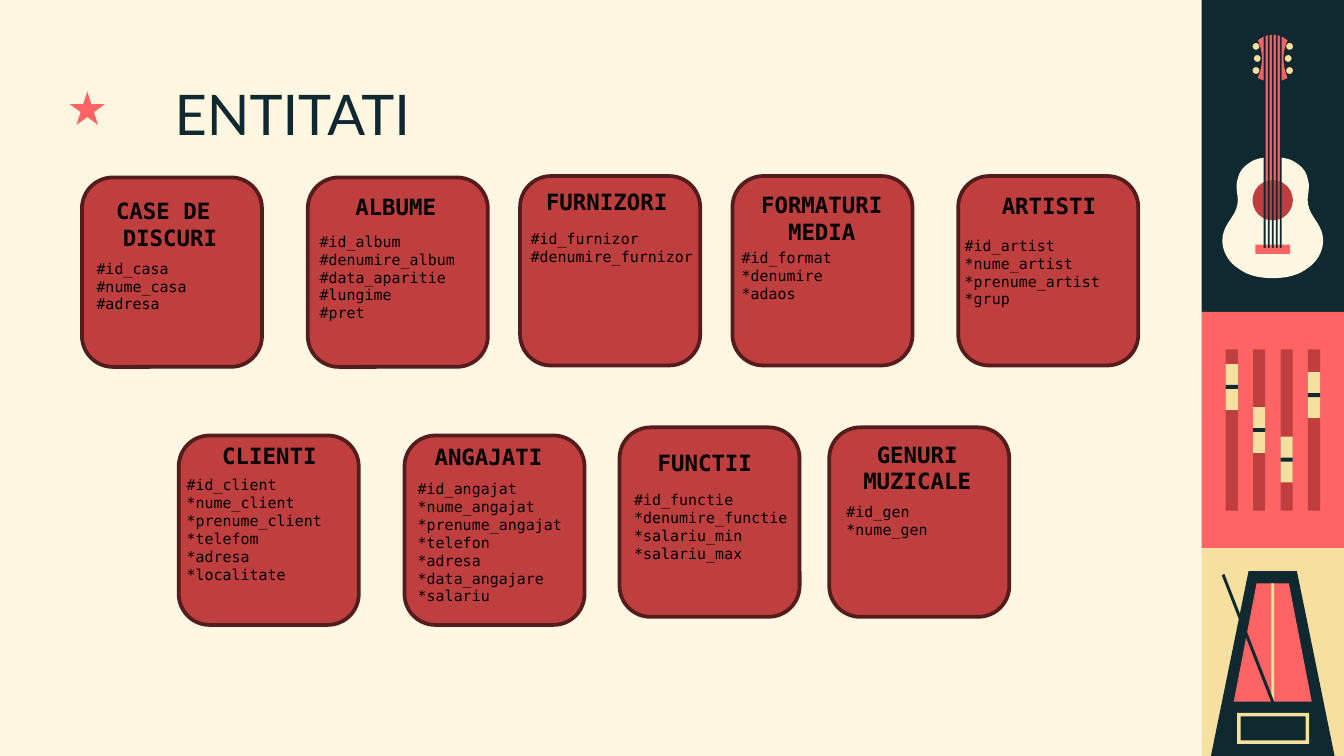
from dataclasses import dataclass

import pptx
import pptx.dml.color
import pptx.enum.shapes
import pptx.enum.text
import pptx.util

SHAPE = pptx.enum.shapes.MSO_SHAPE
ALIGN = pptx.enum.text.PP_ALIGN
CELL = pptx.util.Inches(0.1)  # square grid: 100 columns, 56.25 rows
COLUMNS, ROWS = 100, 56.25
Point = tuple[float, float]
Box = tuple[float, float, float, float]  # column, row, columns, rows


@dataclass(frozen=True)
class Theme:
    cream: str = "FFF7E2"
    navy: str = "102830"
    coral: str = "FF6464"
    brick: str = "BF3F3F"
    sand: str = "F6E09F"
    maroon: str = "541C1C"
    black: str = "000000"
    title_font: str = "Lato"
    mono_font: str = "DejaVu Sans Mono"
    title_size: float = 30
    heading_size: float = 12
    field_size: float = 8
    card_line: float = 2


@dataclass(frozen=True)
class Entity:
    heading: str
    fields: str
    card: Point
    heading_at: Point
    fields_at: Point


THEME = Theme()
CARD_WIDTH, CARD_HEIGHT, CARD_ROUNDING = 13.4, 14.1, 0.172
HEADING_WIDTH, FIELDS_WIDTH = 24.3, 16
LINE_HEIGHT = 1.17 / 7.2  # rows for each point of type

ENTITIES = [
    Entity("CASE DE \nDISCURI", "#id_casa\n#nume_casa\n#adresa",
           (6.1, 13.2), (0.5, 14.2), (6.2, 18.8)),
    Entity("ALBUME", "#id_album\n#denumire_album\n#data_aparitie\n#lungime\n#pret",
           (22.9, 13.2), (17.3, 13.9), (22.8, 16.8)),
    Entity("FURNIZORI", "#id_furnizor\n#denumire_furnizor",
           (38.7, 13.1), (33, 13.5), (38.5, 16.6)),
    Entity("FORMATURI\nMEDIA", "#id_format\n*denumire\n*adaos",
           (54.5, 13.1), (49, 13.7), (54.2, 18)),
    Entity("ARTISTI", "#id_artist\n*nume_artist\n*prenume_artist\n*grup",
           (71.3, 13.1), (65.9, 13.8), (70.8, 17.1)),
    Entity("CLIENTI", "#id_client\n*nume_client\n*prenume_client\n*telefom\n*adresa\n*localitate",
           (13.3, 32.4), (7.9, 32.4), (12.9, 34.9)),
    Entity("ANGAJATI", "#id_angajat\n*nume_angajat\n*prenume_angajat\n*telefon\n"
           "*adresa\n*data_angajare\n*salariu",
           (30.1, 32.4), (24.2, 32.5), (30.1, 35.2)),
    Entity("FUNCTII", "#id_functie\n*denumire_functie\n*salariu_min\n*salariu_max",
           (46.1, 31.8), (40.3, 32.9), (46.2, 36)),
    Entity("GENURI\nMUZICALE", "#id_gen\n*nume_gen",
           (61.7, 31.8), (56.1, 32.3), (62, 36.9)),
]


def cells(count: float) -> pptx.util.Emu:
    return pptx.util.Emu(round(count * CELL))


def rgb(color: str) -> pptx.dml.color.RGBColor:
    return pptx.dml.color.RGBColor.from_string(color)


def paint(shape, fill: str, line: str | None = None):
    shape.shadow.inherit = False
    shape.fill.solid()
    shape.fill.fore_color.rgb = rgb(fill)
    if line:
        shape.line.color.rgb = rgb(line)
        shape.line.width = pptx.util.Pt(THEME.card_line)
    else:
        shape.line.fill.background()
    return shape


def add_preset(slide, kind, box: Box, fill: str, line: str | None = None):
    return paint(slide.shapes.add_shape(kind, *map(cells, box)), fill, line)


def add_rect(slide, box: Box, fill: str):
    return add_preset(slide, SHAPE.RECTANGLE, box, fill)


def add_outline(slide, contours: list[list[Point]], fill: str):
    """Draw one filled freeform; a second contour cuts a hole."""
    builder = None
    for contour in contours:
        start, *rest = [(cells(x), cells(y)) for x, y in contour]
        if builder is None:
            builder = slide.shapes.build_freeform(*start)
        else:
            builder.move_to(*start)
        builder.add_line_segments(rest, close=True)
    return paint(builder.convert_to_shape(), fill)


def curve(start: Point, *segments: tuple[Point, Point, Point], steps: int = 10) -> list[Point]:
    """Sample a chain of cubic Bezier segments."""
    points = [start]
    for a, b, end in segments:
        p = points[-1]
        for step in range(1, steps + 1):
            t = step / steps
            u = 1 - t
            points.append(tuple(u**3 * p[i] + 3 * u * u * t * a[i] + 3 * u * t * t * b[i]
                                + t**3 * end[i] for i in (0, 1)))
    return points


def mirrored(half: list[Point], axis: float) -> list[Point]:
    return half + [(2 * axis - x, y) for x, y in reversed(half)]


def add_text(slide, at: Point, width: float, text: str, font: str, size: float, color: str,
             bold: bool = False, align=ALIGN.LEFT, inset: float = 0.5):
    lines = text.split("\n")
    height = len(lines) * size * LINE_HEIGHT + 2 * inset
    frame = slide.shapes.add_textbox(*map(cells, (*at, width, height))).text_frame
    frame.word_wrap = True
    frame.vertical_anchor = pptx.enum.text.MSO_ANCHOR.TOP
    frame.margin_top = frame.margin_bottom = cells(inset)
    frame.text = text
    for paragraph in frame.paragraphs:
        paragraph.alignment = align
        for run in paragraph.runs:
            run.font.name, run.font.size, run.font.bold = font, pptx.util.Pt(size), bold
            run.font.color.rgb = rgb(color)


def draw_guitar(slide):
    axis = 94.7
    add_rect(slide, (89.4, 0, 10.6, 23.2), THEME.navy)
    body = curve((axis, 11.7),
                 ((94, 11.7), (93.4, 11.8), (93, 12.1)),
                 ((92.5, 12.4), (92.2, 12.8), (92.1, 13.3)),
                 ((91.9, 13.9), (92.1, 14.4), (92.1, 14.9)),
                 ((92.1, 16.1), (90.95, 16.6), (90.95, 17.9)),
                 ((90.95, 18.7), (91.4, 19.5), (92.1, 19.95)),
                 ((92.8, 20.5), (93.7, 20.7), (axis, 20.7)))
    add_outline(slide, [mirrored(body, axis)], THEME.cream)
    add_rect(slide, (93.4, 18.2, 2.6, 0.7), THEME.coral)
    add_rect(slide, (94.1, 3.1, 1.2, 10.6), THEME.coral)
    head = curve((axis, 2.6),
                 ((94.3, 2.6), (94, 2.7), (93.6, 3)),
                 ((94, 3.9), (94, 4.8), (93.6, 5.8)),
                 ((94, 6), (94.3, 6.1), (axis, 6.1)))
    add_outline(slide, [mirrored(head, axis)], THEME.coral)
    for offset, row in ((1.25, 3.2), (1.15, 4.1), (1.25, 5)):
        for side in (-1, 1):
            add_preset(slide, SHAPE.OVAL, (axis + side * offset - 0.25, row, 0.5, 0.5), THEME.sand)
    add_preset(slide, SHAPE.OVAL, (axis - 1.5, 13.4, 3, 3), THEME.brick)
    for string in range(5):
        add_rect(slide, (94.03 + 0.3 * string, 2.5, 0.14, 15.95), THEME.navy)


def draw_mixer(slide):
    add_rect(slide, (89.4, 23.2, 10.6, 17.6), THEME.coral)
    for track, knob in enumerate((27.1, 30.3, 32.5, 27.7)):
        column = 91.2 + 2.04 * track
        add_rect(slide, (column, 26, 0.9, 12), THEME.brick)
        add_rect(slide, (column, knob, 0.9, 3.4), THEME.sand)
        add_rect(slide, (column, knob + 1.55, 0.9, 0.3), THEME.navy)


def draw_metronome(slide):
    add_rect(slide, (89.4, 40.8, 10.6, ROWS - 40.8), THEME.sand)
    add_outline(slide, [[(92.9, 42.5), (90.1, ROWS), (99.3, ROWS), (96.5, 42.5)]], THEME.navy)
    add_outline(slide, [[(93.5, 43.4), (91.8, 52.2), (97.6, 52.2), (95.9, 43.4)]], THEME.coral)
    add_rect(slide, (94.6, 43.4, 0.2, 8.8), THEME.sand)
    add_outline(slide, [[(91.1, 42.7), (90.9, 42.8), (94.6, 52.3), (94.8, 52.2)]], THEME.navy)
    add_outline(slide, [[(97.15, 53.3), (97.15, 55.1), (92.3, 55.1), (92.3, 53.3)],
                        [(92.05, 53.05), (92.05, 55.35), (97.4, 55.35), (97.4, 53.05)]], THEME.sand)


def draw_entity(slide, entity: Entity):
    card = add_preset(slide, SHAPE.ROUNDED_RECTANGLE, (*entity.card, CARD_WIDTH, CARD_HEIGHT),
                      THEME.brick, THEME.maroon)
    card.adjustments[0] = CARD_ROUNDING
    add_text(slide, entity.heading_at, HEADING_WIDTH, entity.heading, THEME.mono_font,
             THEME.heading_size, THEME.black, bold=True, align=ALIGN.CENTER)
    add_text(slide, entity.fields_at, FIELDS_WIDTH, entity.fields, THEME.mono_font,
             THEME.field_size, THEME.black)


def main():
    deck = pptx.Presentation()
    deck.slide_width, deck.slide_height = cells(COLUMNS), cells(ROWS)
    slide = deck.slides.add_slide(deck.slide_layouts[6])
    slide.background.fill.solid()
    slide.background.fill.fore_color.rgb = rgb(THEME.cream)
    draw_guitar(slide)
    draw_mixer(slide)
    draw_metronome(slide)
    add_preset(slide, SHAPE.STAR_5_POINT, (5.2, 6.8, 2.6, 2.5), THEME.coral)
    add_text(slide, (12, 4.9), 80.2, "ENTITATI", THEME.title_font, THEME.title_size,
             THEME.navy, inset=1)
    for entity in ENTITIES:
        draw_entity(slide, entity)
    deck.save("out.pptx")


if __name__ == "__main__":
    main()
